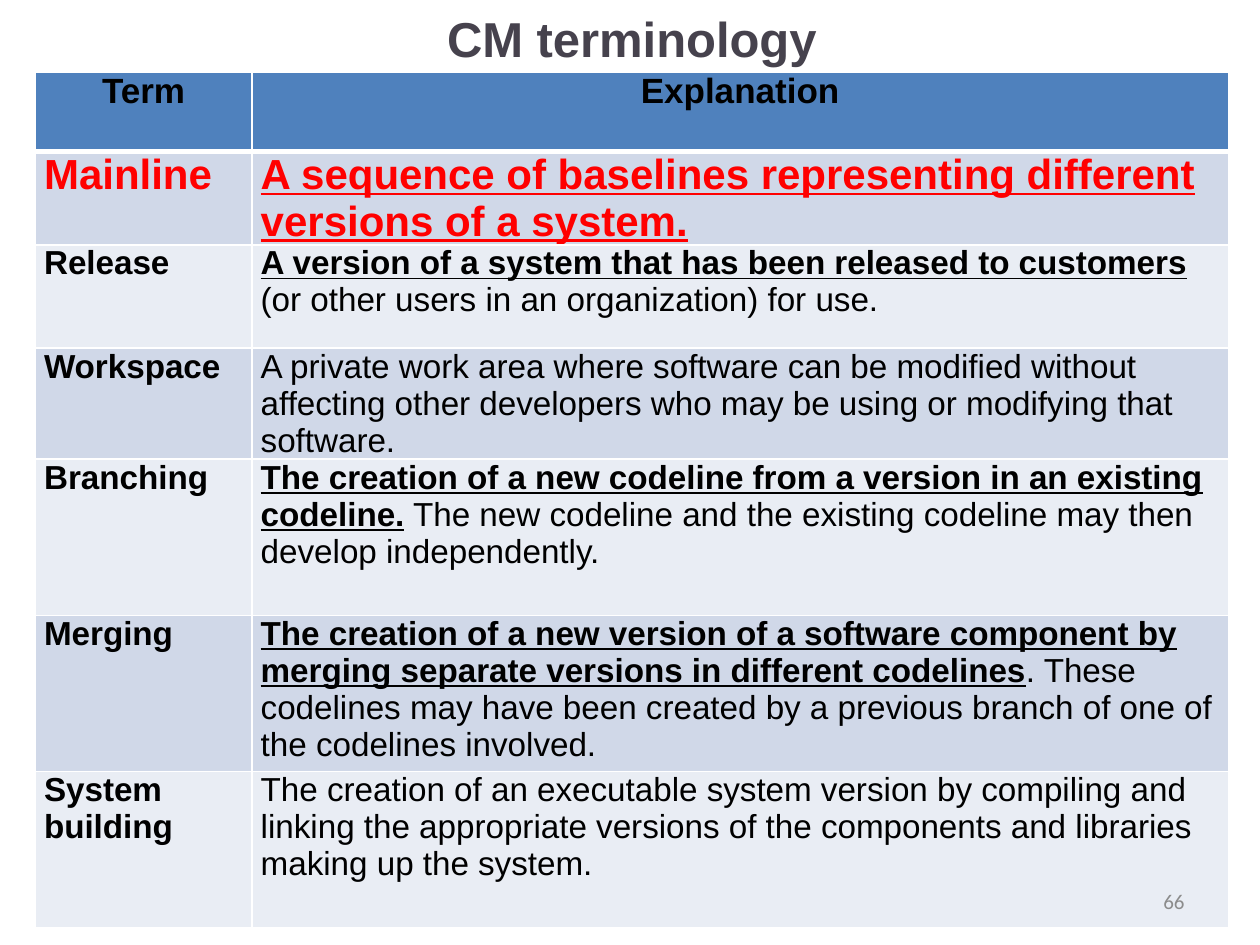
from lxml.etree import SubElement as Sub
from pptx import Presentation
from pptx.dml.color import RGBColor
from pptx.enum.text import MSO_ANCHOR as Anchor, MSO_AUTO_SIZE as Fit, PP_ALIGN as Align
from pptx.oxml.ns import qn
from pptx.util import Inches, Pt

BLACK, RED, WHITE = "000000", "FF0000", "FFFFFF"
HEAD, BANDS = "4F81BD", ("D0D8E8", "E9EDF4")
COLS = (1.72, 7.75)
ROWS = (0.63, 0.63, 0.82, 0.82, 1.24, 1.24, 1.24)

# Each term has a key phrase (bold, underlined) and plain text after it
TERMS = [
    ("Mainline", "A sequence of baselines representing different versions of a system.", ""),
    ("Release", "A version of a system that has been released to customers ",
     "(or other users in an organization) for use."),
    ("Workspace", "", "A private work area where software can be modified without "
     "affecting other developers who may be using or modifying that software."),
    ("Branching", "The creation of a new codeline from a version in an existing codeline.",
     " The new codeline and the existing codeline may then develop independently."),
    ("Merging", "The creation of a new version of a software component by merging "
     "separate versions in different codelines",
     ". These codelines may have been created by a previous branch of one of "
     "the codelines involved."),
    ("System building", "", "The creation of an executable system version by compiling and "
     "linking the appropriate versions of the components and libraries making up the system."),
]


def paint(color, code):
    color.rgb = RGBColor.from_string(code)


def style(para, size, code, align, face="Arial"):
    para.alignment = align
    para.font.name, para.font.size = face, Pt(size)
    paint(para.font.color, code)


def edge(cell, base):
    """Draw white cell borders; base is the width of the lower one."""
    props = cell._tc.get_or_add_tcPr()
    for spot, (side, width) in enumerate(zip("LRTB", (1, 1, 1, base))):
        line = props.makeelement(qn(f"a:ln{side}"), {"w": str(Pt(width))})
        Sub(Sub(line, qn("a:solidFill")), qn("a:srgbClr"), val=WHITE)
        props.insert(spot, line)


def write(cell, fill, runs, size, code, align, base=1):
    """Fill one cell with runs of (text, bold, underline)."""
    cell.fill.solid()
    paint(cell.fill.fore_color, fill)
    cell.margin_left = cell.margin_right = Inches(0.07)
    cell.margin_top = cell.margin_bottom = 0
    para = cell.text_frame.paragraphs[0]
    for text, bold, under in runs:
        if text:
            run = para.add_run()
            run.text = text
            run.font.bold, run.font.underline = bold, under
    style(para, size, code, align)
    # Runs carry the look too, since the table style sets its own text colour
    for run in para.runs:
        run.font.size = Pt(size)
        paint(run.font.color, code)
    para.space_after = Pt(2)
    edge(cell, base)


def add_title(slide, left, top, width, height):
    title = slide.shapes.title
    title.left, title.top, title.width, title.height = map(Inches, (left, top, width, height))
    frame = title.text_frame
    frame.text = "CM terminology"
    frame.auto_size, frame.vertical_anchor = Fit.NONE, Anchor.MIDDLE
    para = frame.paragraphs[0]
    style(para, 28, "46424D", Align.CENTER)
    para.font.bold = True


def add_terms(slide, left, top):
    box = map(Inches, (left, top, sum(COLS), sum(ROWS)))
    table = slide.shapes.add_table(len(ROWS), len(COLS), *box).table
    for col, width in zip(table.columns, COLS):
        col.width = Inches(width)
    for row, height in zip(table.rows, ROWS):
        row.height = Inches(height)

    # Header
    for col, text in enumerate(("Term", "Explanation")):
        write(table.cell(0, col), HEAD, [(text, True, False)], 20, BLACK, Align.CENTER, 3)

    # Terms; the first one stands out
    for row, (term, key, rest) in enumerate(TERMS, 1):
        size, code = (24, RED) if row == 1 else (19, BLACK)
        fill = BANDS[(row - 1) % 2]
        write(table.cell(row, 0), fill, [(term, True, False)], size, code, Align.JUSTIFY)
        write(table.cell(row, 1), fill, [(key, True, True), (rest, False, False)],
              size, code, Align.LEFT)


def add_number(slide, left, top, width, height):
    frame = slide.shapes.add_textbox(*map(Inches, (left, top, width, height))).text_frame
    frame.word_wrap, frame.vertical_anchor = True, Anchor.MIDDLE
    frame.text = "66"
    style(frame.paragraphs[0], 12, "8C8C8C", Align.RIGHT, "Calibri")


def main():
    deck = Presentation()
    deck.slide_width, deck.slide_height = Inches(10), Inches(7.5)
    slide = deck.slides.add_slide(deck.slide_layouts[5])
    add_title(slide, 0.28, 0.03, 9.47, 0.55)
    add_terms(slide, 0.28, 0.57)
    add_number(slide, 7.17, 6.95, 2.33, 0.4)
    deck.save("out.pptx")


if __name__ == "__main__":
    main()
